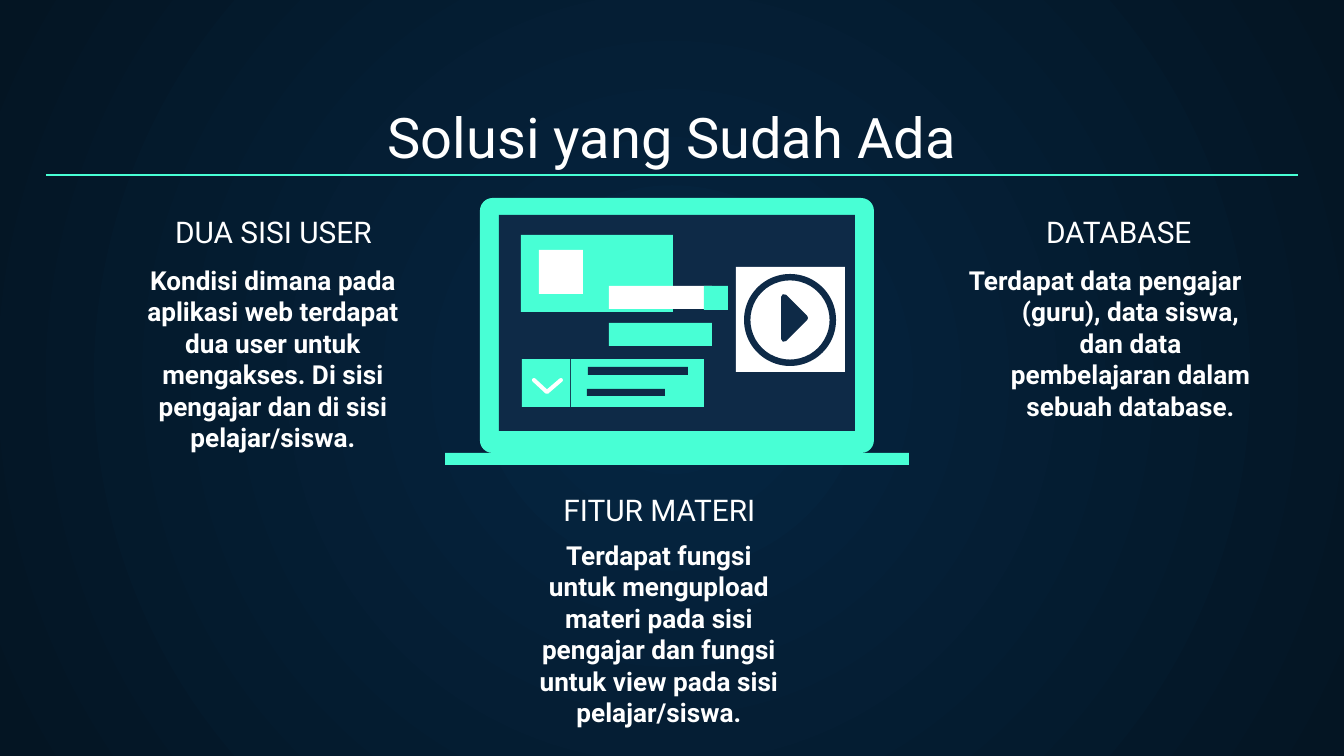
"""Build the "Solusi yang Sudah Ada" slide: three captions around a laptop drawing."""
from lxml.etree import SubElement
from pptx import Presentation
from pptx.dml.color import RGBColor
from pptx.enum.shapes import MSO_CONNECTOR, MSO_SHAPE as SHAPE
from pptx.enum.text import MSO_ANCHOR as ANCHOR, PP_ALIGN
from pptx.oxml.ns import qn
from pptx.util import Pt

PX = 914400 / 134.4
MINT, NAVY, WHITE = "48FFD5", "0E2A47", "FFFFFF"


def emu(*values):
    return [round(v * PX) for v in values]


def rgb(value):
    return RGBColor.from_string(value)


prs = Presentation()
prs.slide_width, prs.slide_height = emu(1344, 756)
s = prs.slides.add_slide(prs.slide_layouts[6])

bg = s.background.fill
bg.gradient()
for stop, color in zip(bg.gradient_stops, ("052643", "041523")):
    stop.color.rgb = rgb(color)
lin = s.element.xpath(".//a:lin")[0]
grad = lin.getparent()
grad.remove(lin)
circle = SubElement(grad, qn("a:path"), path="circle")
SubElement(circle, qn("a:fillToRect"), l="50000", t="50000", r="50000", b="50000")

title = {"size": Pt(30), "bold": False}
heading = {"size": Pt(16), "bold": False}
body = {"size": Pt(14), "bold": True}
texts = [
    ("Solusi yang Sudah Ada", (46, 94, 1252, 89), title, ANCHOR.BOTTOM),
    ("DUA SISI USER", (121, 235, 305, 28), heading, ANCHOR.BOTTOM),
    ("DATABASE ", (970, 235, 305, 28), heading, ANCHOR.BOTTOM),
    ("FITUR MATERI", (507, 513, 305, 28), heading, ANCHOR.BOTTOM),
    ("Kondisi dimana pada aplikasi web terdapat dua user untuk mengakses. "
     "Di sisi pengajar dan di sisi pelajar/siswa.", (134, 251, 278, 74), body, ANCHOR.TOP),
    ("Terdapat fungsi untuk mengupload materi pada sisi pengajar dan fungsi "
     "untuk view pada sisi pelajar/siswa.", (520, 526, 278, 74), body, ANCHOR.TOP),
    ("Terdapat data pengajar (guru), data siswa, dan data pembelajaran dalam "
     "sebuah database.", (919, 251, 356, 74), body, ANCHOR.TOP),
]
for text, box, style, anchor in texts:
    tf = s.shapes.add_textbox(*emu(*box)).text_frame
    tf.word_wrap = True
    tf.vertical_anchor = anchor
    for side in ("left", "top", "right", "bottom"):
        setattr(tf, f"margin_{side}", Pt(7.2))
    p = tf.paragraphs[0]
    p.alignment = PP_ALIGN.CENTER
    r = p.add_run()
    r.text = text
    r.font.name = "Roboto"
    r.font.color.rgb = rgb(WHITE)
    for name, value in style.items():
        setattr(r.font, name, value)
    if text.endswith("database."):
        for name, value in {"marL": Pt(36), "indent": Pt(-27)}.items():
            p._p.get_or_add_pPr().set(name, str(value))

rule = s.shapes.add_connector(MSO_CONNECTOR.STRAIGHT, *emu(46, 175, 1298, 175))
rule.line.color.rgb = rgb(MINT)
rule.line.width = Pt(0.75)
SubElement(rule._element.spPr, qn("a:effectLst"))

laptop = [
    (SHAPE.ROUNDED_RECTANGLE, (480, 198, 394, 255), MINT, 0.05),
    (SHAPE.RECTANGLE, (445, 453, 464, 12), MINT, None),
    (SHAPE.RECTANGLE, (499, 215, 356, 216), NAVY, None),
    (SHAPE.RECTANGLE, (521, 235, 152, 77), MINT, None),
    (SHAPE.RECTANGLE, (539, 250, 44, 44), WHITE, None),
    (SHAPE.RECTANGLE, (609, 286, 103, 23), WHITE, None),
    (SHAPE.RECTANGLE, (704, 286, 24, 24), MINT, None),
    (SHAPE.RECTANGLE, (609, 323, 103, 23), MINT, None),
    (SHAPE.RECTANGLE, (571, 359, 133, 48), MINT, None),
    (SHAPE.RECTANGLE, (588, 367, 100, 8), NAVY, None),
    (SHAPE.RECTANGLE, (587, 389, 78, 7), NAVY, None),
    (SHAPE.RECTANGLE, (522, 359, 48, 48), MINT, None),
    (SHAPE.RECTANGLE, (736, 267, 109, 105), WHITE, None),
    (SHAPE.DONUT, (744, 274, 92, 92), NAVY, 0.07),
]
for kind, box, color, adjust in laptop:
    sp = s.shapes.add_shape(kind, *emu(*box))
    sp.shadow.inherit = False
    sp.fill.solid()
    sp.fill.fore_color.rgb = rgb(color)
    sp.line.fill.background()
    if adjust is not None:
        sp.adjustments[0] = adjust

icons = [
    ([(534, 380), (547, 392), (561, 380)], WHITE, 4, False),
    ([(784, 297), (805, 318), (784, 339)], NAVY, 6, True),
]
for points, color, width, closed in icons:
    fb = s.shapes.build_freeform(*points[0], scale=PX)
    fb.add_line_segments(points[1:], close=closed)
    sp = fb.convert_to_shape()
    sp.shadow.inherit = False
    if closed:
        sp.fill.solid()
        sp.fill.fore_color.rgb = rgb(color)
    else:
        sp.fill.background()
    sp.line.color.rgb = rgb(color)
    sp.line.width = emu(width)[0]
    ln = sp.line._get_or_add_ln()
    ln.set("cap", "rnd")
    SubElement(ln, qn("a:round"))

prs.save("out.pptx")
